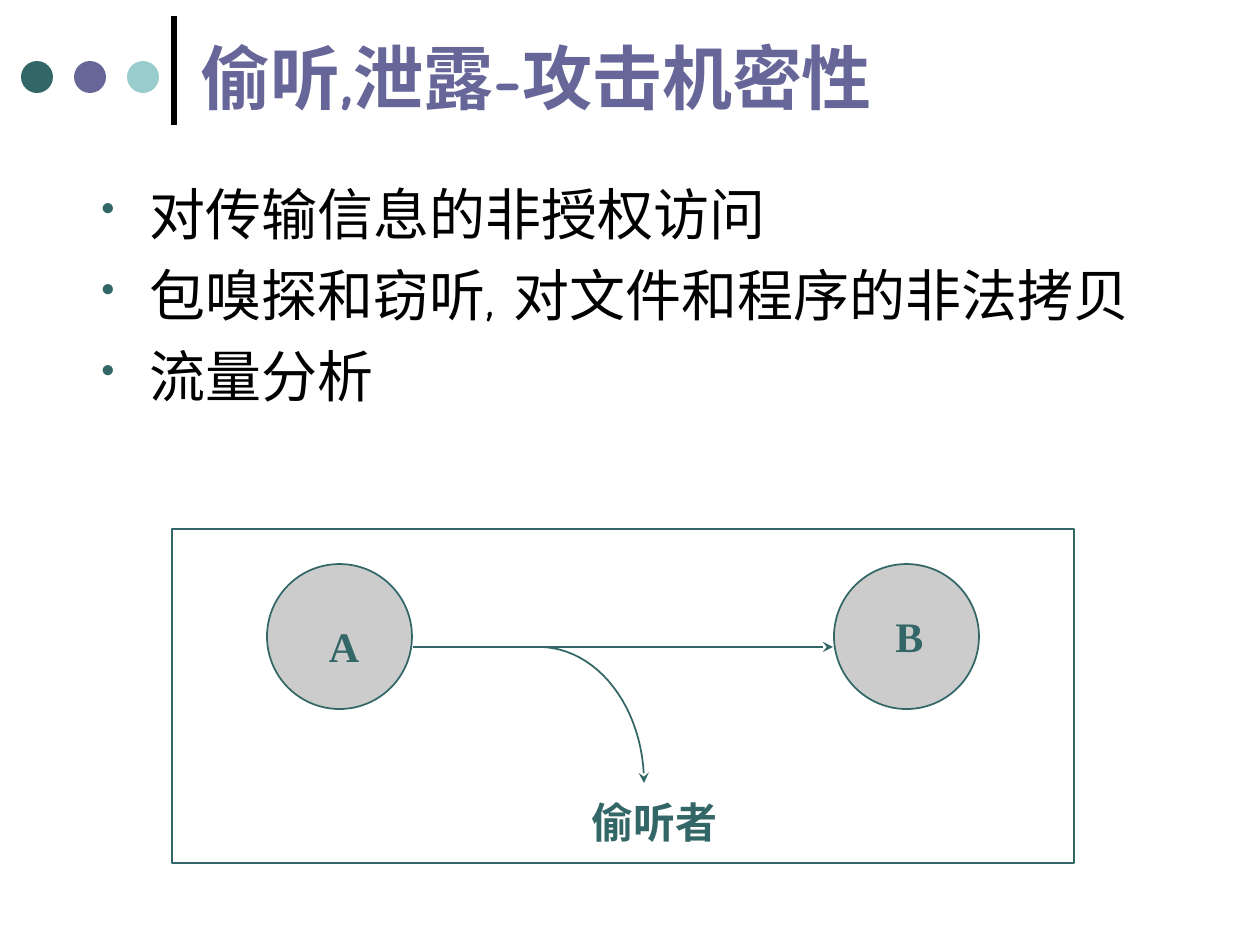
from math import cos, pi, sin

from lxml.etree import SubElement
from pptx import Presentation
from pptx.dml.color import RGBColor
from pptx.enum.shapes import MSO_CONNECTOR as Connector, MSO_SHAPE as Shape
from pptx.enum.text import MSO_ANCHOR as Anchor, MSO_AUTO_SIZE as AutoSize, PP_ALIGN as Align
from pptx.oxml.ns import qn
from pptx.util import Emu, Pt

PX = 914400 / 126
TEAL, VIOLET, AQUA = "336666", "666699", "99CCCC"
GREY, WHITE, BLACK = "CCCCCC", "FFFFFF", "000000"


def px(*lengths):
    return [Emu(round(length * PX)) for length in lengths]


def rgb(color):
    return RGBColor.from_string(color)


class SlideBuilder:
    text_font = "Comic Neue"
    label_font = "Times New Roman"

    def __init__(self, slide):
        self.slide = slide

    def style_font(self, paragraph, name, size, color, bold=False):
        font = paragraph.font
        font.name, font.size, font.bold = name, Pt(size), bold
        font.color.rgb = rgb(color)

    def style_line(self, line, color, width, arrow=False):
        line.color.rgb = rgb(color)
        line.width = Pt(width)
        if arrow:
            SubElement(line._get_or_add_ln(), qn("a:tailEnd"), type="stealth")

    def title(self, text, box):
        title = self.slide.shapes.title
        title.left, title.top, title.width, title.height = px(*box)
        frame = title.text_frame
        frame.text = text
        frame.auto_size = AutoSize.NONE
        frame.vertical_anchor = Anchor.MIDDLE
        paragraph = frame.paragraphs[0]
        paragraph.alignment = Align.LEFT
        self.style_font(paragraph, self.text_font, 40, VIOLET, True)

    def bullets(self, items, box):
        frame = self.slide.shapes.add_textbox(*px(*box)).text_frame
        frame.word_wrap = True
        frame.text = "\n".join(items)
        indent = px(48)[0]
        for index, paragraph in enumerate(frame.paragraphs):
            properties = paragraph._p.get_or_add_pPr()
            properties.set("marL", str(indent))
            properties.set("indent", str(-indent))
            color = SubElement(properties, qn("a:buClr"))
            SubElement(color, qn("a:srgbClr"), val=TEAL)
            SubElement(properties, qn("a:buSzPct"), val="70000")
            SubElement(properties, qn("a:buChar"), char="•")
            if index:
                paragraph.space_before = Pt(8)
            self.style_font(paragraph, self.text_font, 32, BLACK)

    def shape(self, kind, box, fill, outline=None):
        shape = self.slide.shapes.add_shape(kind, *px(*box))
        shape.shadow.inherit = False
        shape.fill.solid()
        shape.fill.fore_color.rgb = rgb(fill)
        if outline:
            self.style_line(shape.line, outline, 1)
        else:
            shape.line.fill.background()

    def line(self, start, end, color, width, arrow=False):
        connector = self.slide.shapes.add_connector(Connector.STRAIGHT, *px(*start, *end))
        self.style_line(connector.line, color, width, arrow)
        SubElement(connector._element.spPr, qn("a:effectLst"))

    def quarter_arrow(self, left, top, width, height, steps=24):
        angles = [pi / 2 * step / steps for step in range(steps + 1)]
        points = [px(left + width * sin(angle), top + height * (1 - cos(angle))) for angle in angles]
        builder = self.slide.shapes.build_freeform(*points[0])
        builder.add_line_segments(points[1:], close=False)
        curve = builder.convert_to_shape()
        curve.shadow.inherit = False
        curve.fill.background()
        self.style_line(curve.line, TEAL, 1, arrow=True)

    def label(self, text, box):
        frame = self.slide.shapes.add_textbox(*px(*box)).text_frame
        frame.word_wrap = False
        frame.auto_size = AutoSize.SHAPE_TO_FIT_TEXT
        frame.text = text
        paragraph = frame.paragraphs[0]
        paragraph.alignment = Align.CENTER
        self.style_font(paragraph, self.label_font, 24, TEAL, True)


def main():
    presentation = Presentation()
    presentation.slide_width, presentation.slide_height = px(1260, 945)
    builder = SlideBuilder(presentation.slides.add_slide(presentation.slide_layouts[5]))

    builder.line((174, 125), (174, 16), BLACK, 3)
    for index, color in enumerate((TEAL, VIOLET, AQUA)):
        builder.shape(Shape.OVAL, (21 + 53 * index, 61, 32, 32), color)
    builder.title("偷听,泄露-攻击机密性", (188, -3, 1134, 158))
    builder.bullets(
        ["对传输信息的非授权访问", "包嗅探和窃听, 对文件和程序的非法拷贝", "流量分析"],
        (89, 173, 1133, 348),
    )

    builder.shape(Shape.RECTANGLE, (172, 529, 902, 334), WHITE, TEAL)
    for left in (267, 834):
        builder.shape(Shape.OVAL, (left, 564, 145, 145), GREY, TEAL)
    builder.line((413, 647), (833, 647), TEAL, 1, arrow=True)
    builder.quarter_arrow(539, 647, 105, 136)
    builder.label("A", (316, 614, 56, 63))
    builder.label("B", (883, 604, 53, 63))
    builder.label("偷听者", (579, 790, 152, 63))

    presentation.save("out.pptx")


if __name__ == "__main__":
    main()
